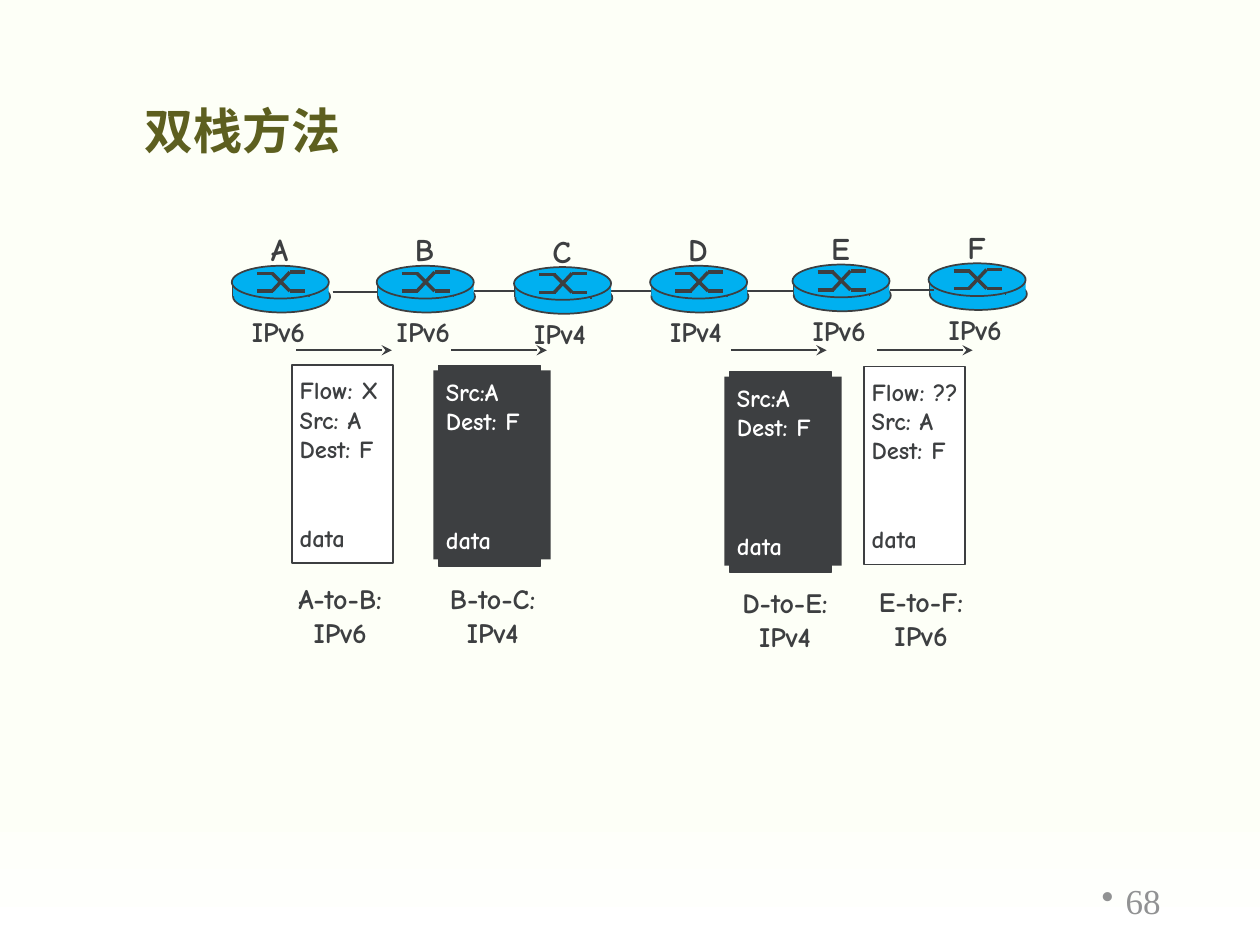
"""Build the dual-stack slide: six routers, four packets and their captions."""
from lxml.etree import SubElement
from pptx import Presentation
from pptx.dml.color import RGBColor as Rgb
from pptx.enum.shapes import MSO_CONNECTOR as Connector, MSO_SHAPE as Shape
from pptx.enum.text import MSO_ANCHOR as Anchor, MSO_AUTO_SIZE as Fit, PP_ALIGN as Align
from pptx.oxml.ns import qn
from pptx.util import Emu, Pt

PX = 9144
COLORS = {"ink": "3D3F41", "router": "00B0F0", "white": "FFFFFF",
          "cream": "FDFFF7", "title": "5D5F1F", "number": "919293"}

deck = Presentation()
deck.slide_width, deck.slide_height = Emu(1000 * PX), Emu(750 * PX)
page = deck.slides.add_slide(deck.slide_layouts[6])


def add_box(place, text="", *, shape=None, fill=None, line=None, size=16,
            font="Comic Neue", color="ink", bold=True, align=Align.LEFT,
            anchor=Anchor.TOP, wrap=False, bullet=None, spacing=None, last_gap=0):
    area = [Emu(value * PX) for value in place]
    if shape is None:
        box = page.shapes.add_textbox(*area)
    else:
        box = page.shapes.add_shape(shape, *area)
        box.shadow.inherit = False
    if fill:
        box.fill.solid()
        box.fill.fore_color.rgb = Rgb.from_string(COLORS[fill])
    if line:
        box.line.color.rgb = Rgb.from_string(COLORS[line])
        box.line.width = Pt(1)
    else:
        box.line.fill.background()
    if not text:
        return
    frame = box.text_frame
    frame.word_wrap = wrap
    frame.auto_size = Fit.NONE if wrap else Fit.SHAPE_TO_FIT_TEXT
    frame.vertical_anchor = anchor
    frame.text = text
    for para in frame.paragraphs:
        para.alignment = align
        if spacing:
            para.line_spacing = spacing
        if bullet:
            props = para._p.get_or_add_pPr()
            props.set("marL", str(19 * PX))
            props.set("indent", str(-19 * PX))
            SubElement(props, qn("a:buChar")).set("char", bullet)
        for span in para.runs:
            span.font.name = font
            span.font.size = Pt(size)
            span.font.bold = bold
            span.font.color.rgb = Rgb.from_string(COLORS[color])
    if last_gap:
        frame.paragraphs[-1].space_before = Pt(last_gap)


def add_line(x1, y1, x2, y2, width=1, arrow=False):
    line = page.shapes.add_connector(
        Connector.STRAIGHT, *[Emu(value * PX) for value in (x1, y1, x2, y2)])
    line.line.color.rgb = Rgb.from_string(COLORS["ink"])
    line.line.width = Pt(width)
    if arrow:
        SubElement(line.line._get_or_add_ln(), qn("a:tailEnd")).set("type", "stealth")
    SubElement(line._element.spPr, qn("a:effectLst"))


backdrop = page.shapes.add_shape(Shape.RECTANGLE, 0, 0, deck.slide_width, deck.slide_height)
backdrop.shadow.inherit = False
backdrop.line.fill.background()
backdrop.fill.gradient()
backdrop.fill.gradient_angle = 270
for stop, position, color in zip(backdrop.fill.gradient_stops, (0.84, 1), ("cream", "white")):
    stop.position = position
    stop.color.rgb = Rgb.from_string(COLORS[color])

add_box((105, 35, 648, 97), "双栈方法", size=28, font="Arial", color="title",
        anchor=Anchor.BOTTOM, wrap=True, spacing=0.9)
add_box((706, 695, 225, 40), "68", size=20, font="Times New Roman", color="number",
        bold=False, align=Align.RIGHT, anchor=Anchor.MIDDLE, wrap=True, bullet="•")

for link in ((264, 232, 299, 232), (376, 231, 631, 231)):
    add_line(*link)

SIDES = ((0, -1, 0, 12), (60, 0, 60, 13))
CROSS = ((19, -6, 32, -6), (45, 8, 57, 8), (31, -6, 45, 8),
         (19, 8, 32, 8), (45, -7, 57, -7), (31, 8, 45, -7))
ROUTERS = (("A", "IPv6", 185, 223), ("B", "IPv6", 300, 223), ("C", "IPv4", 409, 224),
           ("D", "IPv4", 517, 223), ("E", "IPv6", 630, 222), ("F", "IPv6", 738, 221))
for name, version, x, y in ROUTERS:
    add_box((x, y, 77, 25), shape=Shape.OVAL, fill="router", line="ink")
    for x1, y1, x2, y2 in SIDES:
        add_line(x + x1, y + y1, x + x2, y + y2)
    add_box((x, y - 1, 76, 13), shape=Shape.RECTANGLE, fill="router")
    add_box((x - 1, y - 12, 77, 26), shape=Shape.OVAL, fill="router", line="ink")
    for x1, y1, x2, y2 in CROSS:
        add_line(x + x1, y + y1, x + x2, y + y2, width=2)
    add_box((x + 19, y - 45, 36, 40), name, size=18, align=Align.CENTER)
    add_box((x + 5, y + 22, 68, 37), version)
add_line(706, 230, 741, 230)

for start in (235, 358, 580, 696):
    add_line(start, 278, start + 76, 278, arrow=True)

PACKETS = ((232, 290, 93, "Flow: X\nSrc: A\nDest: F\ndata"),
           (686, 291, 100, "Flow: ??\nSrc: A\nDest: F\ndata"))
for x, y, width, text in PACKETS:
    add_box((x, y, 80, 157), shape=Shape.RECTANGLE, fill="white", line="ink")
    add_box((x - 4, y + 3, width, 150), text, size=14, last_gap=34)

for x, y in ((348, 290), (579, 295)):
    add_box((x, y, 81, 159), shape=Shape.RECTANGLE, fill="ink", line="ink")
    add_box((x - 4, y + 4, 93, 150), "Src:A\nDest: F\ndata", shape=Shape.RECTANGLE,
            fill="ink", size=14, color="white", last_gap=51)

CAPTIONS = ((216, 457, "A-to-B:\nIPv6"), (337, 457, "B-to-C:\nIPv4"),
            (569, 460, "D-to-E:\nIPv4"), (677, 459, "E-to-F:\nIPv6"))
for x, y, text in CAPTIONS:
    add_box((x, y, 108, 64), text, align=Align.CENTER)

deck.save("out.pptx")
